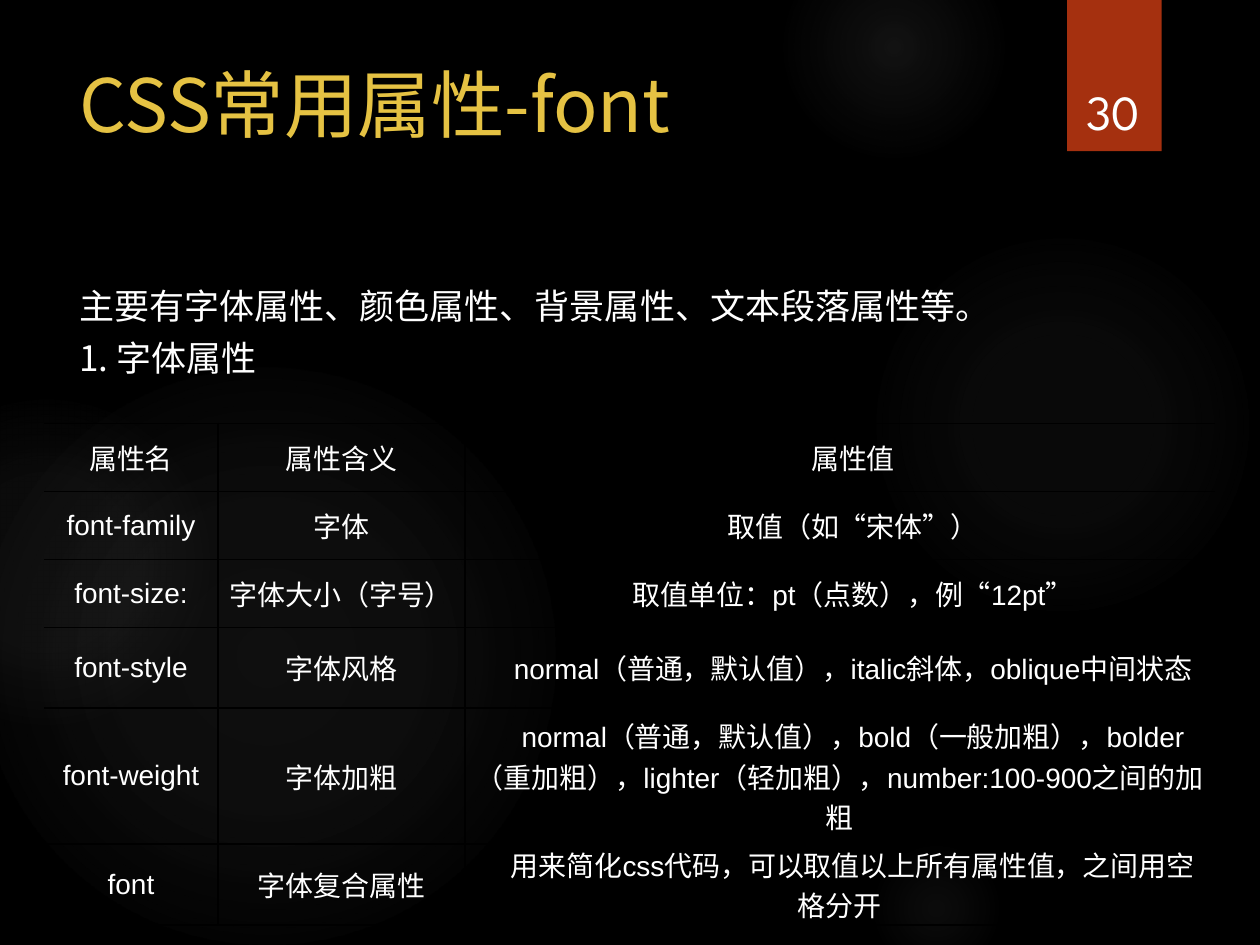
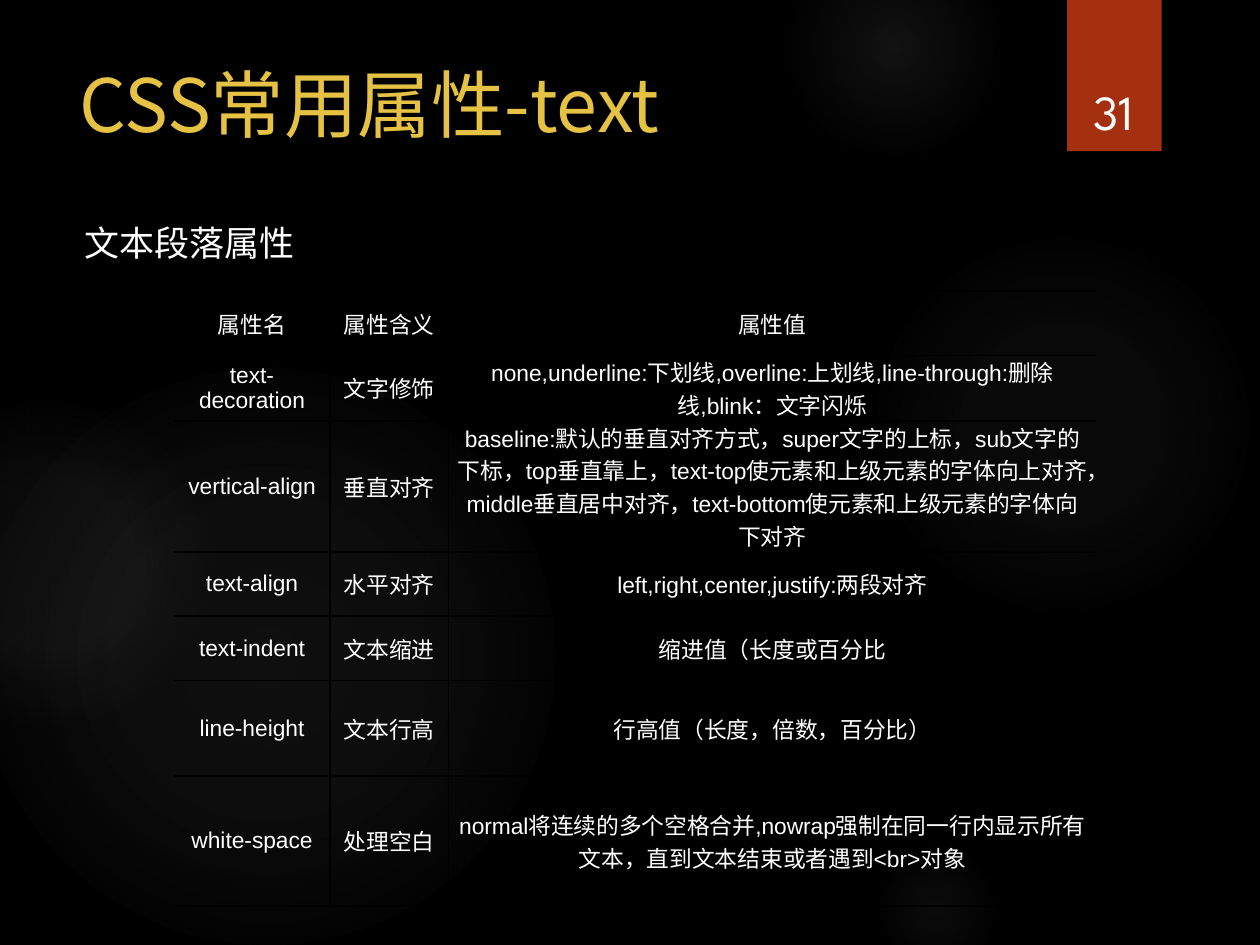
from lxml import etree
from pptx import Presentation, util as u
from pptx.dml.color import RGBColor
from pptx.enum import shapes, text
from pptx.oxml import ns, parse_xml

COLORS = {"back": "000000", "glow": "848484", "ribbon": "A5300F",
          "title": "E5C243", "body": "FFFFFF", "border": "000000"}
CJK_FONT = "Noto Sans CJK SC"
CENTER = text.PP_ALIGN.CENTER

# left, top, diameter, then (position %, opacity %) of each gradient stop
GLOWS = [
    (6.89, 1.83, 3.08, [(0, 7), (36, 6), (69, 0)]),
    (6.22, -0.5, 1.75, [(0, 14), (36, 7), (73, 0)]),
    (6.89, 6.67, 1.08, [(0, 9), (36, 5), (66, 0)]),
    (-0.17, 2.92, 4.58, [(0, 11), (36, 10), (75, 0)]),
    (-0.92, 3.17, 2.58, [(0, 8), (36, 8), (72, 0)]),
]

HEADINGS = ("属性名", "属性含义", "属性值")
PAGES = [
    {
        "title": "CSS常用属性-font",
        "number": "30",
        "intro": "主要有字体属性、颜色属性、背景属性、文本段落属性等。\n1. 字体属性",
        "intro_at": (0.53, 2.25, 8.27, 0.95),
        "table_at": (0.35, 3.36, 9.29, 3.78),
        "columns": [1.38, 1.96, 5.95],
        "heights": [0.54, 0.54, 0.54, 0.54, 1.08, 0.54],
        "size": 16, "margin": 0.07, "value_indent": 0.21,
        "rows": [
            HEADINGS,
            ("font-family", "字体", "取值（如“宋体”）"),
            ("font-size:", "字体大小（字号）", "取值单位：pt（点数），例“12pt”"),
            ("font-style", "字体风格",
             "normal（普通，默认值），italic斜体，oblique中间状态"),
            ("font-weight", "字体加粗",
             "normal（普通，默认值），bold（一般加粗），bolder（重加粗），"
             "lighter（轻加粗），number:100-900之间的加粗"),
            ("font", "字体复合属性",
             "用来简化css代码，可以取值以上所有属性值，之间用空格分开"),
        ],
    },
    {
        "title": "CSS常用属性-text",
        "number": "31",
        "intro": "文本段落属性",
        "intro_at": (0.57, 1.75, 8.27, 0.56),
        "table_at": (1.38, 2.31, 7.32, 4.79),
        "columns": [1.24, 0.94, 5.14],
        "heights": [0.51, 0.51, 0.94, 0.51, 0.51, 0.76, 1.03],
        "size": 13, "margin": 0.06, "value_indent": 0,
        "rows": [
            HEADINGS,
            ("text-decoration", "文字修饰",
             "none,underline:下划线,overline:上划线,line-through:删除线,blink：文字闪烁"),
            ("vertical-align", "垂直对齐",
             "baseline:默认的垂直对齐方式，super文字的上标，sub文字的下标，top垂直靠上，"
             "text-top使元素和上级元素的字体向上对齐，middle垂直居中对齐，"
             "text-bottom使元素和上级元素的字体向下对齐"),
            ("text-align", "水平对齐", "left,right,center,justify:两段对齐"),
            ("text-indent", "文本缩进", "缩进值（长度或百分比"),
            ("line-height", "文本行高", "行高值（长度，倍数，百分比）"),
            ("white-space", "处理空白",
             "normal将连续的多个空格合并,nowrap强制在同一行内显示所有文本，"
             "直到文本结束或者遇到<br>对象"),
        ],
    },
]


def write(frame, words, *, size, color="body", font=CJK_FONT, align=text.PP_ALIGN.LEFT,
          anchor=text.MSO_ANCHOR.TOP, spacing=None, before=0, after=0, indent=0):
    """Fill a text frame, one paragraph for each line of words."""
    frame.word_wrap = True
    frame.auto_size = text.MSO_AUTO_SIZE.NONE
    frame.vertical_anchor = anchor
    for index, line in enumerate(words.split("\n")):
        para = frame.add_paragraph() if index else frame.paragraphs[0]
        para.alignment = align
        para.line_spacing = spacing
        para.space_before, para.space_after = u.Pt(before), u.Pt(after)
        if indent:
            para._p.get_or_add_pPr().set("indent", str(u.Inches(indent)))
        span = para.add_run()
        span.text = line
        span.font.size = u.Pt(size)
        span.font.name = font
        span.font.color.rgb = RGBColor.from_string(COLORS[color])
        east_asian = etree.SubElement(span._r.get_or_add_rPr(), ns.qn("a:ea"))
        east_asian.set("typeface", CJK_FONT)


def border(cell, side, visible):
    """Draw or hide one side (L, R, T or B) of a cell."""
    line = etree.SubElement(cell._tc.get_or_add_tcPr(), ns.qn(f"a:ln{side}"))
    line.set("w", str(u.Pt(1)))
    if visible:
        fill = etree.SubElement(line, ns.qn("a:solidFill"))
        etree.SubElement(fill, ns.qn("a:srgbClr")).set("val", COLORS["border"])
    else:
        etree.SubElement(line, ns.qn("a:noFill"))


deck = Presentation()
deck.slide_width, deck.slide_height = u.Inches(10), u.Inches(7.5)
backdrop = deck.slide_master.background.fill
backdrop.solid()
backdrop.fore_color.rgb = RGBColor.from_string(COLORS["back"])

for content in PAGES:
    page = deck.slides.add_slide(deck.slide_layouts[5])
    title = page.shapes.title

    # Backdrop glows and ribbon
    for left, top, diameter, stops in GLOWS:
        glow = page.shapes.add_shape(
            shapes.MSO_SHAPE.OVAL, *map(u.Inches, (left, top, diameter, diameter)))
        glow.shadow.inherit = False
        glow.line.fill.background()
        glow.fill.background()
        stop_xml = "".join(
            f'<a:gs pos="{position * 1000}"><a:srgbClr val="{COLORS["glow"]}">'
            f'<a:alpha val="{opacity * 1000}"/></a:srgbClr></a:gs>'
            for position, opacity in stops)
        gradient = parse_xml(
            f'<a:gradFill {ns.nsdecls("a")}><a:gsLst>{stop_xml}</a:gsLst><a:path path="circle">'
            '<a:fillToRect l="50000" t="50000" r="50000" b="50000"/></a:path></a:gradFill>')
        properties = glow._element.spPr
        properties.replace(properties.find(ns.qn("a:noFill")), gradient)

    ribbon = page.shapes.add_shape(
        shapes.MSO_SHAPE.RECTANGLE, *map(u.Inches, (8.47, 0, 0.75, 1.2)))
    ribbon.shadow.inherit = False
    ribbon.line.fill.background()
    ribbon.fill.solid()
    ribbon.fill.fore_color.rgb = RGBColor.from_string(COLORS["ribbon"])

    # Title in front of the backdrop, then intro and page number
    page.shapes.element.append(title.element)
    title.left, title.top, title.width, title.height = map(u.Inches, (0.53, 0.5, 7.72, 1.53))
    write(title.text_frame, content["title"], size=42, color="title", spacing=0.9)

    intro = page.shapes.add_textbox(*map(u.Inches, content["intro_at"]))
    write(intro.text_frame, content["intro"], size=20, spacing=0.9, before=8)

    number = page.shapes.add_textbox(*map(u.Inches, (8.49, 0.32, 0.69, 0.84)))
    write(number.text_frame, content["number"], size=28, font="League Spartan",
          align=CENTER, anchor=text.MSO_ANCHOR.BOTTOM)

    # Property table
    rows, columns = content["rows"], content["columns"]
    table = page.shapes.add_table(
        len(rows), len(columns), *map(u.Inches, content["table_at"])).table
    table.first_row = table.horz_banding = False
    for column, width in zip(table.columns, columns):
        column.width = u.Inches(width)
    last = len(columns) - 1
    for row, height, values in zip(table.rows, content["heights"], rows):
        row.height = u.Inches(height)
        for index, (cell, value) in enumerate(zip(row.cells, values)):
            cell.margin_left = cell.margin_right = u.Inches(content["margin"])
            cell.margin_top = cell.margin_bottom = 0
            cell.vertical_anchor = text.MSO_ANCHOR.MIDDLE
            for side, visible in (("L", index > 0), ("R", index < last),
                                  ("T", True), ("B", True)):
                border(cell, side, visible)
            cell.fill.background()
            write(cell.text_frame, value, size=content["size"], font="Arial", align=CENTER,
                  anchor=None, before=1, after=1,
                  indent=content["value_indent"] if index == last else 0)

deck.save("out.pptx")
